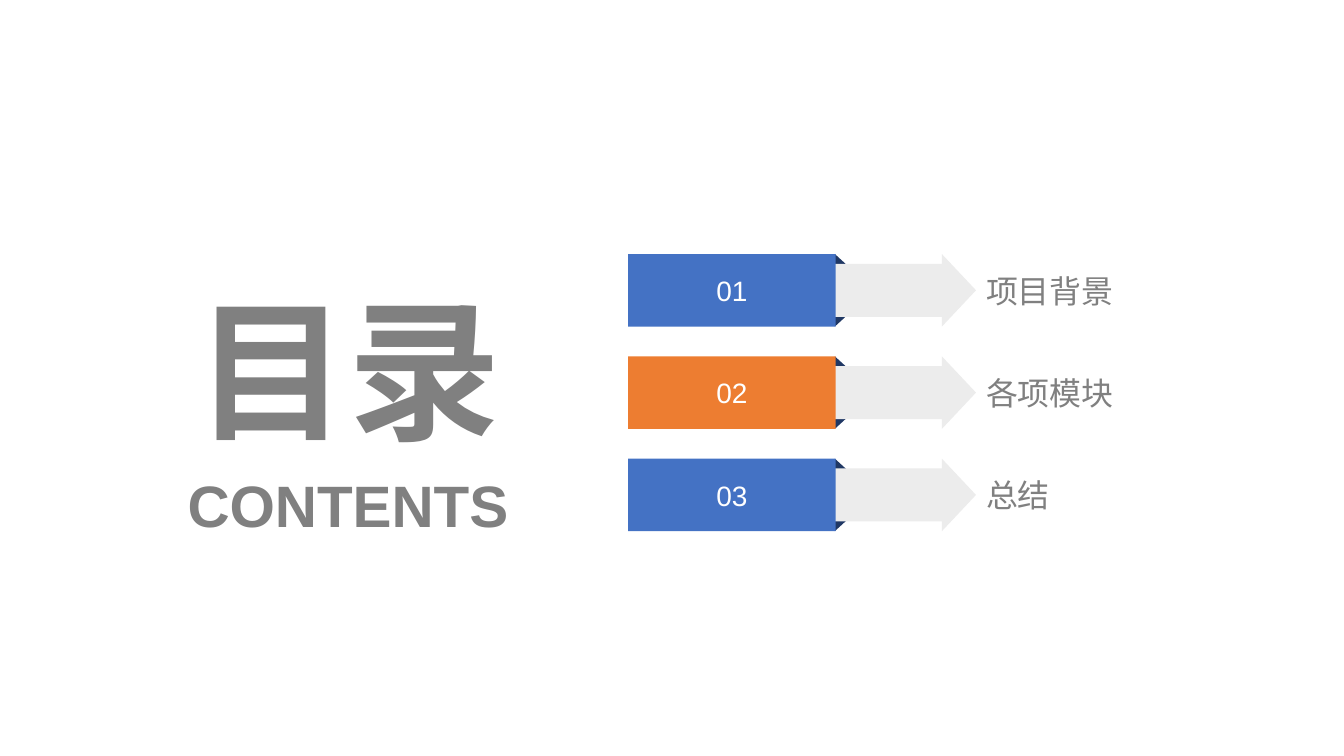
"""Build a contents slide with three numbered arrow banners."""
from pptx import Presentation
from pptx.dml.color import RGBColor
from pptx.enum import shapes, text
from pptx.util import Inches, Pt

BLUE = RGBColor(0x44, 0x72, 0xC4)
ORANGE = RGBColor(0xED, 0x7D, 0x31)
NAVY = RGBColor(0x20, 0x38, 0x64)
PALE = RGBColor(0xEC, 0xEC, 0xEC)
GREY = RGBColor(0x80, 0x80, 0x80)
WHITE = RGBColor(0xFF, 0xFF, 0xFF)

FONT = "Arial"
SECTIONS = [("01", "项目背景", BLUE), ("02", "各项模块", ORANGE), ("03", "总结", BLUE)]
FIRST_TOP, LAST_TOP = 2.52, 4.55
BANNER_HEIGHT = 0.72
FOLD_HEIGHT = 0.11
LABEL_HEIGHT = 0.38


def write(shape, words, size, color, bold=False, align=text.PP_ALIGN.CENTER,
          anchor=text.MSO_ANCHOR.MIDDLE):
    """Put one formatted run into a shape without margins."""
    frame = shape.text_frame
    frame.margin_left = frame.margin_right = frame.margin_top = frame.margin_bottom = 0
    frame.word_wrap = True
    frame.auto_size = text.MSO_AUTO_SIZE.NONE
    frame.vertical_anchor = anchor
    paragraph = frame.paragraphs[0]
    paragraph.alignment = align
    run = paragraph.add_run()
    run.text = words
    run.font.name = FONT
    run.font.size = Pt(size)
    run.font.bold = bold
    run.font.color.rgb = color


def add_block(slide, kind, left, top, width, height, color):
    """Add a flat preset shape without outline or shadow."""
    shape = slide.shapes.add_shape(
        kind, Inches(left), Inches(top), Inches(width), Inches(height))
    shape.shadow.inherit = False
    shape.fill.solid()
    shape.fill.fore_color.rgb = color
    shape.line.fill.background()
    return shape


def add_label(slide, left, top, width, height, words, size, **style):
    """Add a grey text box."""
    box = slide.shapes.add_textbox(
        Inches(left), Inches(top), Inches(width), Inches(height))
    write(box, words, size, GREY, **style)


def add_title(slide, words):
    """Place and format the title placeholder."""
    title = slide.shapes.title
    title.left, title.top = Inches(1.86), Inches(2.73)
    title.width, title.height = Inches(3.19), Inches(1.83)
    write(title, words, 109, GREY, bold=True)


def add_section(slide, top, number, name, color):
    """Add a numbered banner with its folds, arrow and label."""
    kinds = shapes.MSO_SHAPE
    add_block(slide, kinds.RIGHT_TRIANGLE, 8.28, top, 0.12, FOLD_HEIGHT, NAVY)
    lower_fold = add_block(slide, kinds.RIGHT_TRIANGLE, 8.28,
                           top + BANNER_HEIGHT - FOLD_HEIGHT, 0.12, FOLD_HEIGHT, NAVY)
    lower_fold._element.spPr.xfrm.set("flipV", "1")
    arrow = add_block(slide, kinds.RIGHT_ARROW, 7.37, top, 2.31, BANNER_HEIGHT, PALE)
    arrow.adjustments[0] = 0.73
    arrow.adjustments[1] = 0.47
    banner = add_block(slide, kinds.RECTANGLE, 6.23, top, 2.06, BANNER_HEIGHT, color)
    write(banner, number, 20, WHITE)
    add_label(slide, 9.78, top + (BANNER_HEIGHT - LABEL_HEIGHT) / 2, 2.56, LABEL_HEIGHT,
              name, 22.8, align=text.PP_ALIGN.LEFT)


def main():
    """Build and save the slide."""
    presentation = Presentation()
    presentation.slide_width = Inches(13.33)
    presentation.slide_height = Inches(7.5)
    slide = presentation.slides.add_slide(presentation.slide_layouts[5])
    add_title(slide, "目录")
    add_label(slide, 1.74, 4.65, 3.42, 0.7, "CONTENTS", 41.7, bold=True,
              anchor=text.MSO_ANCHOR.TOP)
    pitch = (LAST_TOP - FIRST_TOP) / (len(SECTIONS) - 1)
    for index, (number, name, color) in enumerate(SECTIONS):
        add_section(slide, FIRST_TOP + index * pitch, number, name, color)
    presentation.save("out.pptx")


if __name__ == "__main__":
    main()
